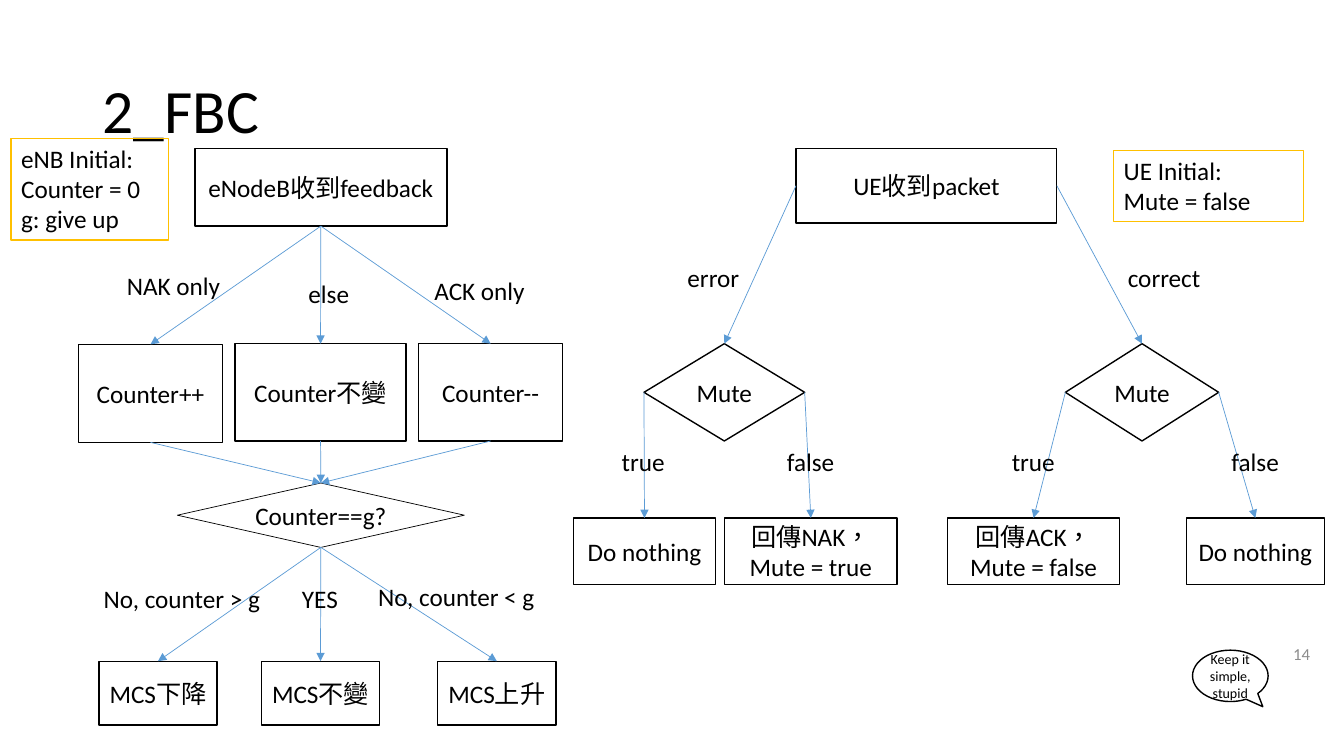
from pptx import Presentation
from pptx.dml.color import RGBColor
from pptx.enum.lang import MSO_LANGUAGE_ID as Language
from pptx.enum.shapes import MSO_CONNECTOR as Connector, MSO_SHAPE as Shape
from pptx.enum.text import MSO_ANCHOR as Anchor, MSO_AUTO_SIZE as AutoSize, PP_ALIGN as Align
from pptx.oxml.ns import qn
from pptx.util import Pt
from lxml import etree

BLACK = RGBColor(0x00, 0x00, 0x00)
WHITE = RGBColor(0xFF, 0xFF, 0xFF)
GREY = RGBColor(0x8C, 0x8C, 0x8C)
BLUE = RGBColor(0x5B, 0x9B, 0xD5)
GOLD = RGBColor(0xFF, 0xC0, 0x00)
LATIN_FONT, ASIAN_FONT = "Calibri", "Noto Sans CJK SC"

TOP, MIDDLE, BOTTOM, LEFT, RIGHT = 106, 245.5, 370, 1, 3


def write(shape, text, size=18, color=BLACK, align=Align.LEFT, anchor=Anchor.TOP):
    frame = shape.text_frame
    frame.text = text
    frame.word_wrap = True
    frame.auto_size = AutoSize.NONE
    frame.vertical_anchor = anchor
    for paragraph in frame.paragraphs:
        paragraph.alignment = align
        for run in paragraph.runs:
            font = run.font
            font.size, font.name, font.color.rgb = Pt(size), LATIN_FONT, color
            font.language_id = Language.TRADITIONAL_CHINESE
            asian = etree.Element(qn("a:ea"), typeface=ASIAN_FONT)
            run._r.rPr.find(qn("a:latin")).addnext(asian)


def add_box(kind, left, top, width, height, line_color=BLACK, line_width=1):
    shape = slide.shapes.add_shape(kind, Pt(left), Pt(top), Pt(width), Pt(height))
    shape.shadow.inherit = False
    shape.fill.solid()
    shape.fill.fore_color.rgb = WHITE
    shape.line.color.rgb = line_color
    shape.line.width = Pt(line_width)
    return shape


presentation = Presentation()
presentation.slide_width, presentation.slide_height = Pt(960), Pt(540)
slide = presentation.slides.add_slide(presentation.slide_layouts[5])

# Title
title = slide.shapes.title
title.left, title.top, title.width, title.height = Pt(66), Pt(28.75), Pt(828), Pt(104.4)
write(title, "2_FBC", 44, anchor=Anchor.MIDDLE)
title.text_frame.paragraphs[0].line_spacing = 0.9

# Callout and slide number
callout = add_box(Shape.OVAL_CALLOUT, 851.8, 464.4, 54, 36.7)
callout.adjustments[0], callout.adjustments[1] = 0.43, 0.6
frame = callout.text_frame
frame.margin_left = frame.margin_right = frame.margin_top = frame.margin_bottom = 0
write(callout, "Keep it simple, stupid", 10, align=Align.CENTER, anchor=Anchor.MIDDLE)

number = slide.shapes.add_textbox(Pt(727), Pt(453), Pt(216), Pt(28.75))
write(number, "14", 12, GREY, Align.RIGHT, Anchor.MIDDLE)

# Flowchart steps
steps = {
    "feedback": (Shape.RECTANGLE, "eNodeB收到feedback", 139.2, TOP, 180, 55.5),
    "increase": (Shape.FLOWCHART_PROCESS, "Counter++", 56, MIDDLE + 0.5, 103, 70),
    "keep": (Shape.FLOWCHART_PROCESS, "Counter不變", 168, MIDDLE, 122, 69.5),
    "decrease": (Shape.FLOWCHART_PROCESS, "Counter--", 299, MIDDLE, 103, 69.5),
    "limit": (Shape.DIAMOND, "Counter==g?", 126.7, 345, 205, 46),
    "mcs down": (Shape.FLOWCHART_PROCESS, "MCS下降", 70.6, 472.3, 84.5, 45.5),
    "mcs same": (Shape.FLOWCHART_PROCESS, "MCS不變", 186.7, 472.3, 84.5, 45.5),
    "mcs up": (Shape.FLOWCHART_PROCESS, "MCS上升", 312.7, 472.3, 84.5, 45.5),
    "packet": (Shape.RECTANGLE, "UE收到packet", 568.6, TOP, 186.3, 53.3),
    "error mute": (Shape.DIAMOND, "Mute", 460, MIDDLE, 114.8, 69.5),
    "correct mute": (Shape.DIAMOND, "Mute", 761, MIDDLE, 109.5, 69.5),
    "error idle": (Shape.FLOWCHART_PROCESS, "Do nothing", 409.6, BOTTOM, 101.5, 47.5),
    "send nak": (Shape.FLOWCHART_PROCESS, "回傳NAK，Mute = true", 517.7, BOTTOM, 123, 47.5),
    "send ack": (Shape.FLOWCHART_PROCESS, "回傳ACK，Mute = false", 676.8, BOTTOM, 123, 47.5),
    "correct idle": (Shape.FLOWCHART_PROCESS, "Do nothing", 847.4, BOTTOM, 98.6, 47.5),
}
boxes = {}
for name, (kind, text, *place) in steps.items():
    boxes[name] = add_box(kind, *place, line_width=0.5 if name == "limit" else 1)
    write(boxes[name], text, align=Align.CENTER, anchor=Anchor.MIDDLE)
boxes["limit"].text_frame.word_wrap = False

# Arrows: start, side it leaves from, end (always the top side)
arrows = [
    ("feedback", 2, "increase"), ("feedback", 2, "keep"), ("feedback", 2, "decrease"),
    ("increase", 2, "limit"), ("keep", 2, "limit"), ("decrease", 2, "limit"),
    ("limit", 2, "mcs down"), ("limit", 2, "mcs same"), ("limit", 2, "mcs up"),
    ("packet", LEFT, "error mute"), ("packet", RIGHT, "correct mute"),
    ("error mute", LEFT, "error idle"), ("error mute", RIGHT, "send nak"),
    ("correct mute", LEFT, "send ack"), ("correct mute", RIGHT, "correct idle"),
]
for start, side, end in arrows:
    arrow = slide.shapes.add_connector(Connector.STRAIGHT, 0, 0, 0, 0)
    arrow.begin_connect(boxes[start], side)
    arrow.end_connect(boxes[end], 0)
    arrow.line.color.rgb = BLUE
    arrow.line.width = Pt(0.5)
    etree.SubElement(arrow.line._get_or_add_ln(), qn("a:tailEnd"), type="triangle")
    etree.SubElement(arrow._element.spPr, qn("a:effectLst"))

# Branch labels
labels = [
    ("NAK only", 83.5, 189.5, 88), ("else", 213.2, 195.3, 46), ("ACK only", 303.2, 193, 82),
    ("No, counter > g", 67, 412.8, 129), ("YES", 208.6, 412.8, 44),
    ("No, counter < g", 263, 412, 129),
    ("error", 484, 183.5, 56), ("correct", 798.5, 183.5, 70),
    ("true", 437, 315.5, 48), ("false", 555, 315.5, 52),
    ("true", 715.6, 315.5, 48), ("false", 872.5, 315.5, 52),
]
for text, left, top, width in labels:
    label = slide.shapes.add_textbox(Pt(left), Pt(top), Pt(width), Pt(29))
    write(label, text)

# Initial values
notes = [
    ("eNB Initial:\nCounter = 0\ng: give up", 8, 98.8, 112.5, 72.7),
    ("UE Initial:\nMute = false", 795.6, 107.3, 135.5, 51),
]
for text, *place in notes:
    note = add_box(Shape.RECTANGLE, *place, line_color=GOLD)
    note.fill.background()
    write(note, text)

presentation.save("out.pptx")
